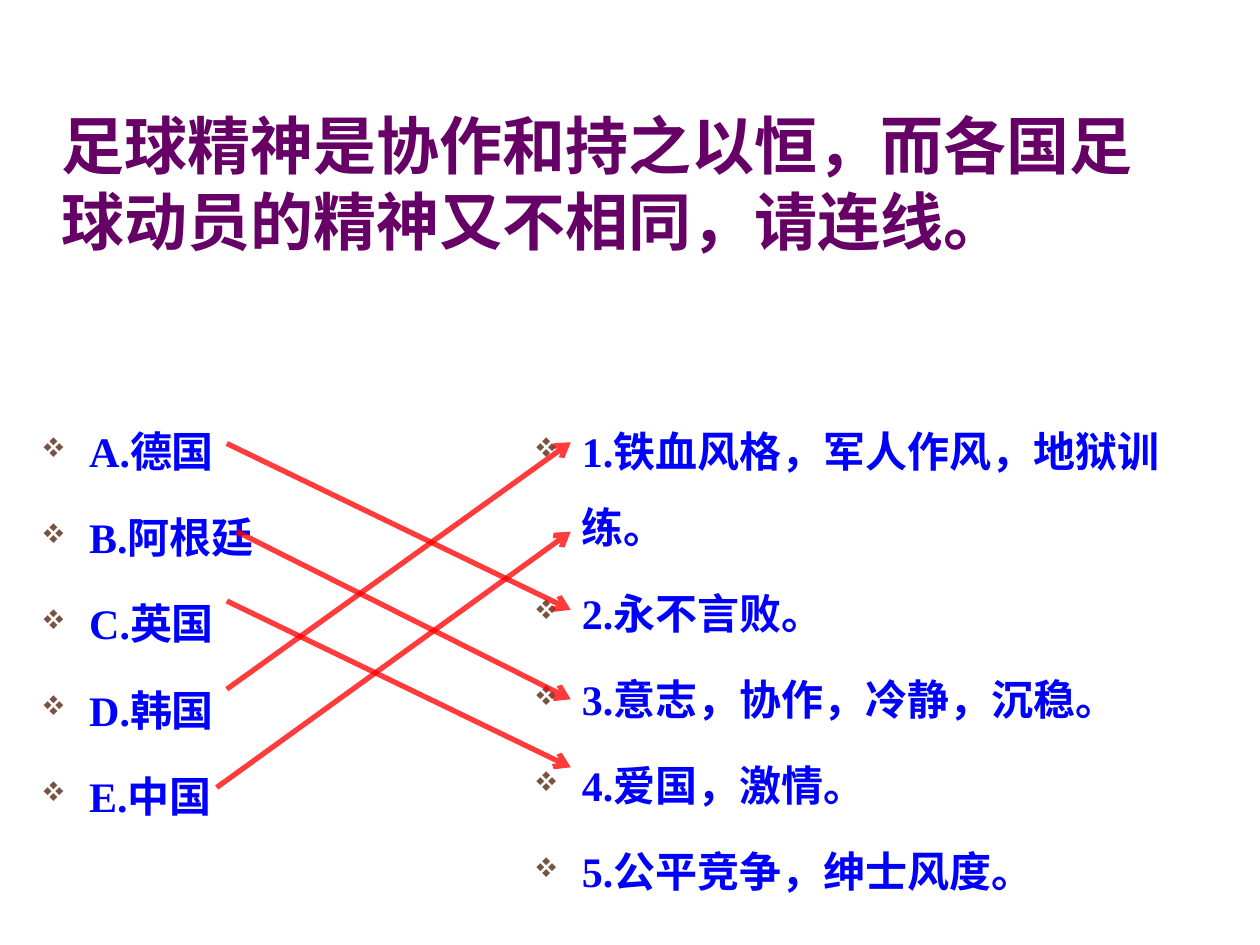
from lxml.etree import SubElement
from pptx import Presentation
from pptx.dml.color import RGBColor
from pptx.enum.shapes import MSO_CONNECTOR
from pptx.enum.text import MSO_ANCHOR
from pptx.oxml.ns import qn
from pptx.util import Inches, Pt

COLORS = {"title": "660066", "text": "0000FF", "bullet": "795241", "arrow": "FF0000"}

TITLE = "足球精神是协作和持之以恒，而各国足球动员的精神又不相同，请连线。"
COUNTRIES = ["A.德国", "B.阿根廷", "C.英国", "D.韩国", "E.中国"]
SPIRITS = [
    "1.铁血风格，军人作风，地狱训练。",
    "2.永不言败。",
    "3.意志，协作，冷静，沉稳。",
    "4.爱国，激情。",
    "5.公平竞争，绅士风度。",
]
ARROWS = [
    (1.8, 3.52, 4.84),
    (1.88, 4.22, 5.55),
    (1.8, 4.77, 6.09),
    (1.8, 5.47, 3.51),
    (1.72, 6.25, 4.22),
]
ARROW_END = 4.53


def add_text(left, top, width, height, lines, size, color):
    box = s.shapes.add_textbox(Inches(left), Inches(top), Inches(width), Inches(height))
    tf = box.text_frame
    tf.word_wrap = True
    tf.text = "\n".join(lines)
    for p in tf.paragraphs:
        for r in p.runs:
            r.font.name = "Times New Roman"
            r.font.size = Pt(size)
            r.font.bold = True
            r.font.color.rgb = RGBColor.from_string(COLORS[color])
    return tf


prs = Presentation()
prs.slide_width, prs.slide_height = Inches(10), Inches(7.5)
s = prs.slides.add_slide(prs.slide_layouts[6])

tf = add_text(0.39, 0.31, 8.75, 2.27, [TITLE], 36, "title")
tf.vertical_anchor = MSO_ANCHOR.MIDDLE

for left, width, height, lines in [(0.23, 2.66, 3.67, COUNTRIES), (4.14, 5.4, 3.75, SPIRITS)]:
    tf = add_text(left, 3.13, width, height, lines, 24, "text")
    for i, p in enumerate(tf.paragraphs):
        p.line_spacing = 1.5
        p.space_before = Pt(6 if i else 0)
        pPr = p._p.get_or_add_pPr()
        pPr.set("marL", str(Inches(0.38)))
        pPr.set("indent", str(Inches(-0.38)))
        SubElement(SubElement(pPr, qn("a:buClr")), qn("a:srgbClr"), val=COLORS["bullet"])
        SubElement(pPr, qn("a:buSzPct"), val="65000")
        SubElement(pPr, qn("a:buFont"), typeface="Wingdings", charset="2")
        SubElement(pPr, qn("a:buChar"), char="v")

for x, y1, y2 in ARROWS:
    c = s.shapes.add_connector(
        MSO_CONNECTOR.STRAIGHT, Inches(x), Inches(y1), Inches(ARROW_END), Inches(y2)
    )
    c.line.width = Pt(3)
    c.line.color.rgb = RGBColor.from_string(COLORS["arrow"])
    spPr = c._element.spPr
    SubElement(spPr.find(".//" + qn("a:srgbClr")), qn("a:alpha"), val="77000")
    SubElement(spPr.find(qn("a:ln")), qn("a:tailEnd"), type="arrow")
    SubElement(spPr, qn("a:effectLst"))

prs.save("out.pptx")
